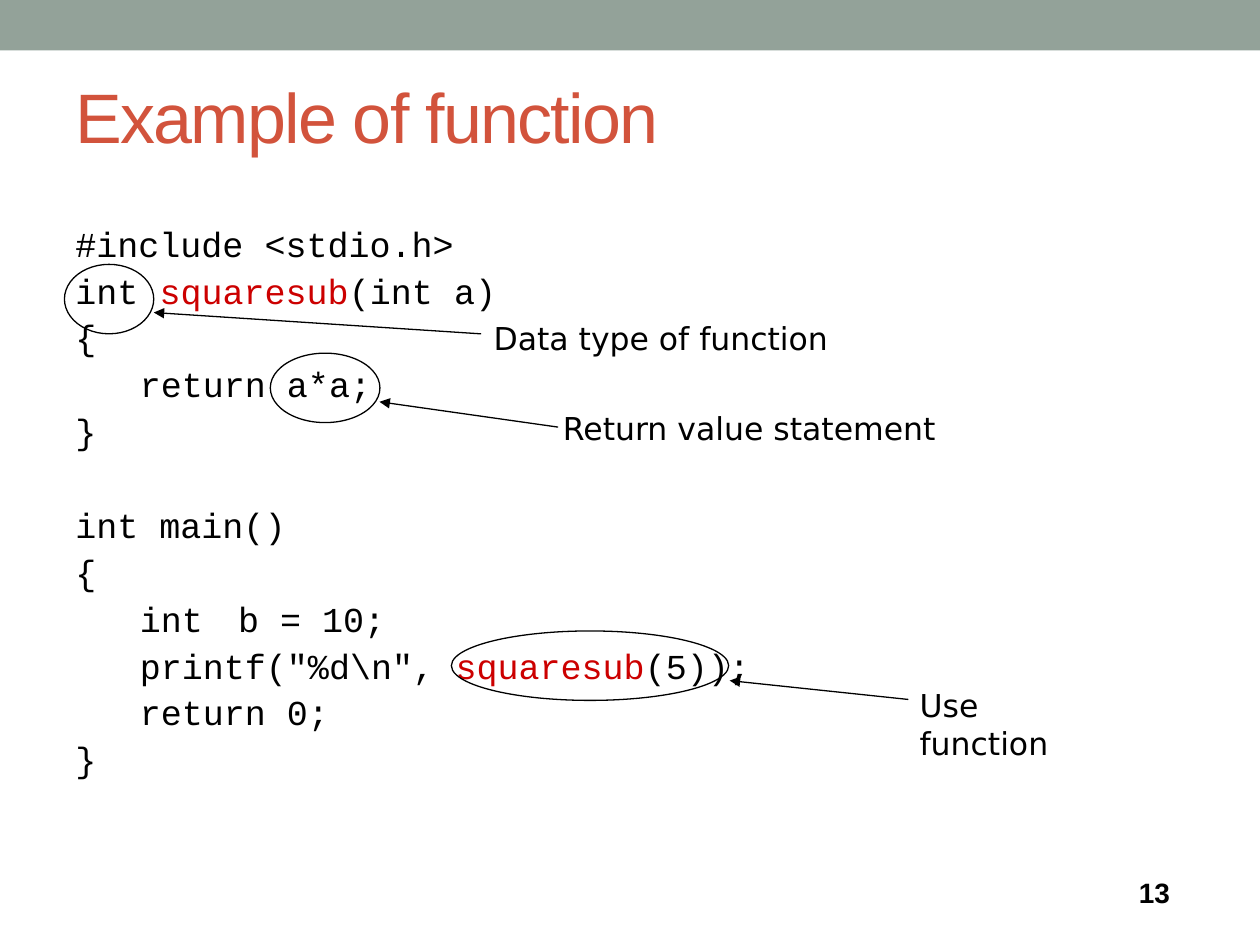
from dataclasses import dataclass

from lxml import etree
from pptx import Presentation
from pptx.dml.color import RGBColor
from pptx.enum.shapes import MSO_CONNECTOR, MSO_SHAPE
from pptx.enum.text import MSO_ANCHOR
from pptx.oxml.ns import qn
from pptx.util import Cm, Pt

RECTANGLE = MSO_SHAPE.RECTANGLE
OVAL = MSO_SHAPE.OVAL
STRAIGHT = MSO_CONNECTOR.STRAIGHT
MIDDLE = MSO_ANCHOR.MIDDLE
TOP = MSO_ANCHOR.TOP


@dataclass(frozen=True)
class Theme:
    band: str = "93A299"
    heading: str = "D2533C"
    ink: str = "000000"
    accent: str = "CC0000"
    sans: str = "Arial"
    mono: str = "Courier New"
    note: str = "DejaVu Sans"
    title_size: int = 40
    code_size: int = 20
    note_size: int = 18
    number_size: int = 16
    line_width: float = 0.75
    code_gap: float = 5.2
    block_gap: float = 32


class SlideBuilder:
    def __init__(self, slide, theme):
        self.shapes = slide.shapes
        self.theme = theme

    def band(self, width, height):
        bar = self.shapes.add_shape(RECTANGLE, 0, 0, Cm(width), Cm(height))
        bar.shadow.inherit = False
        bar.fill.solid()
        bar.fill.fore_color.rgb = RGBColor.from_string(self.theme.band)
        bar.line.fill.background()

    def frame(self, place, wrap=True, anchor=TOP):
        box = self.shapes.add_textbox(*map(Cm, place))
        box.text_frame.word_wrap = wrap
        box.text_frame.vertical_anchor = anchor
        return box.text_frame

    def span(self, para, text, font, size, color=None, bold=False):
        span = para.add_run()
        span.text = text
        span.font.name = font
        span.font.size = Pt(size)
        span.font.bold = bold
        span.font.color.rgb = RGBColor.from_string(color or self.theme.ink)
        return span

    def title(self, text, place):
        para = self.frame(place, anchor=MIDDLE).paragraphs[0]
        span = self.span(para, text, self.theme.sans, self.theme.title_size,
                         self.theme.heading)
        span.font._element.set("spc", "-100")

    def label(self, text, place, wrap=False):
        para = self.frame(place, wrap).paragraphs[0]
        self.span(para, text, self.theme.note, self.theme.note_size)

    def number(self, text, place):
        para = self.frame(place, anchor=MIDDLE).paragraphs[0]
        self.span(para, text, self.theme.sans, self.theme.number_size, bold=True)

    def code(self, blocks, keyword, place):
        frame = self.frame(place)
        para = frame.paragraphs[0]
        for block_index, block in enumerate(blocks):
            for line_index, line in enumerate(block):
                if block_index or line_index:
                    para = frame.add_paragraph()
                    starts_block = line_index == 0
                    para.space_before = Pt(self.theme.block_gap if starts_block
                                           else self.theme.code_gap)
                para.line_spacing = 0.9
                # Hanging indent: a leading tab moves to the left margin
                properties = para._p.get_or_add_pPr()
                properties.set("marL", str(Cm(1.3)))
                properties.set("indent", str(-Cm(1.3)))
                before, found, after = line.partition(keyword)
                for text, color in ((before, self.theme.ink),
                                    (found, self.theme.accent),
                                    (after, self.theme.ink)):
                    if text:
                        self.span(para, text, self.theme.mono,
                                  self.theme.code_size, color)

    def outline(self, line):
        line.color.rgb = RGBColor.from_string(self.theme.ink)
        line.width = Pt(self.theme.line_width)

    def ring(self, place):
        ring = self.shapes.add_shape(OVAL, *map(Cm, place))
        ring.shadow.inherit = False
        ring.fill.background()
        self.outline(ring.line)

    def arrow(self, start, end):
        arrow = self.shapes.add_connector(STRAIGHT, *map(Cm, start + end))
        self.outline(arrow.line)
        properties = arrow._element.spPr
        line = properties.find(qn("a:ln"))
        etree.SubElement(line, qn("a:tailEnd"), type="triangle")
        etree.SubElement(properties, qn("a:effectLst"))


CODE = [
    ["#include <stdio.h>", "int squaresub(int a)", "{", "\treturn a*a;", "}"],
    ["int main()", "{", "\tint　b = 10;",
     '\tprintf("%d\\n", squaresub(5));', "\treturn 0;", "}"],
]

# Each note: ring, arrow start, arrow end, label text, label place, wrap
NOTES = [
    ((5.45, 7.12, 2.21, 1.4), (11.25, 8.61), (7.65, 8.1),
     "Return value statement", (11.1, 8.12, 8.05, 1.02), False),
    ((1.3, 5.33, 1.8, 1.4), (9.7, 6.73), (3.1, 6.3),
     "Data type of function", (9.7, 6.3, 7.26, 1.02), False),
    ((9.1, 12.72, 5.59, 1.4), (18.31, 14.1), (14.71, 13.72),
     "Use function", (18.29, 13.7, 4.4, 1.02), True),
]


def main():
    deck = Presentation()
    deck.slide_width, deck.slide_height = Cm(25.4), Cm(19.05)
    page = SlideBuilder(deck.slides.add_slide(deck.slide_layouts[6]), Theme())

    # Heading
    page.band(25.4, 1.02)
    page.title("Example of function", (1.27, 1.14, 22.86, 2.39))

    # Code listing
    page.code(CODE, "squaresub", (1.27, 4.45, 22.86, 13.54))

    # Notes on the code
    for ring, start, end, text, place, wrap in NOTES:
        page.ring(ring)
        page.arrow(start, end)
        page.label(text, place, wrap)

    # Slide number
    page.number("13", (22.71, 17.53, 1.8, 0.91))

    deck.save("out.pptx")


if __name__ == "__main__":
    main()
